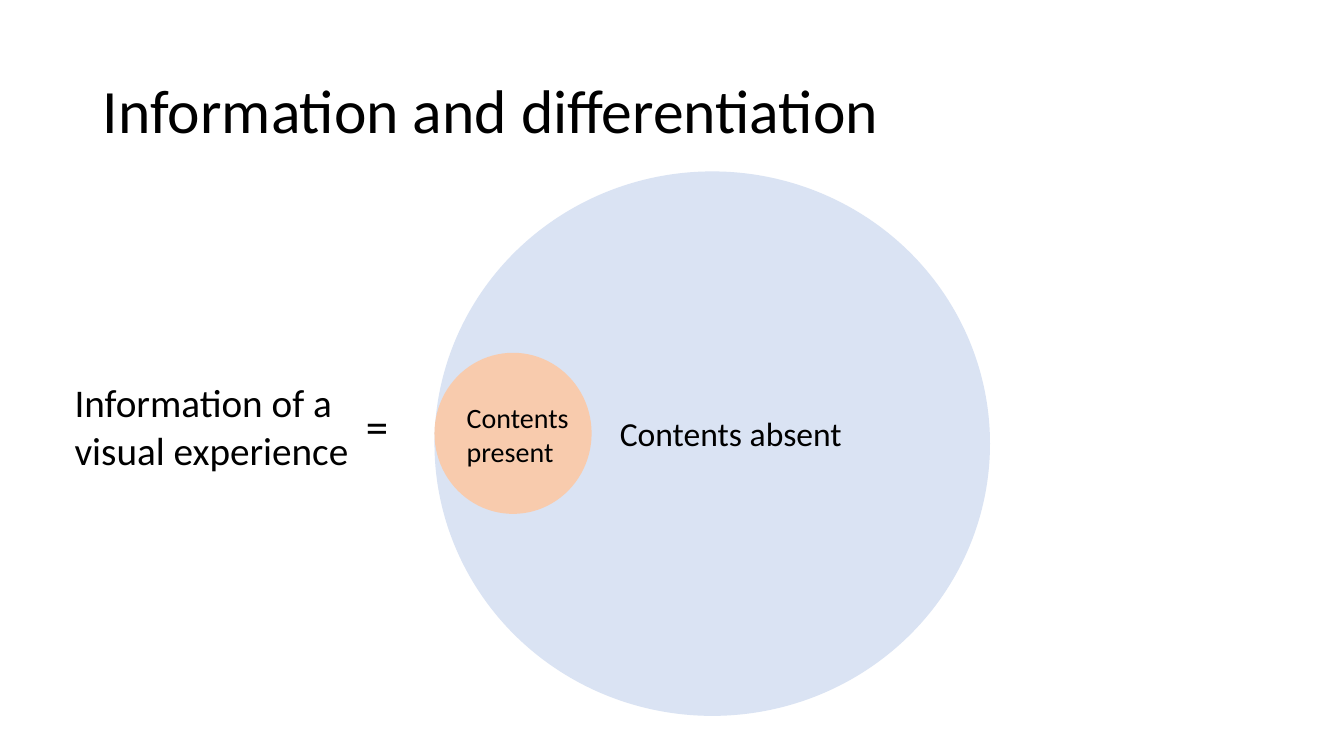
from pptx import Presentation
from pptx import util as u
from pptx.dml.color import RGBColor
from pptx.enum import shapes, text


def color(value):
    """Turn a hex string into a colour."""
    return RGBColor.from_string(value)


def box(values):
    """Turn left, top, width and height in centimetres into lengths."""
    return [u.Cm(v) for v in values]


def write(tf, words, size, **formats):
    """Write one left-aligned paragraph and apply its formats."""
    tf.word_wrap = True
    p = tf.paragraphs[0]
    r = p.add_run()
    r.text = words
    r.font.color.rgb = color("000000")
    for name, value in {"name": "Calibri", "size": u.Pt(size)}.items():
        setattr(r.font, name, value)
    for name, value in {"alignment": text.PP_ALIGN.LEFT, **formats}.items():
        setattr(p, name, value)


def add_title(s, words, place):
    """Fill and place the title placeholder."""
    sp = s.shapes.title
    for name, value in zip(("left", "top", "width", "height"), box(place)):
        setattr(sp, name, value)
    sp.text_frame.vertical_anchor = text.MSO_ANCHOR.MIDDLE
    write(sp.text_frame, words, 44, line_spacing=0.9)


def add_label(parent, words, size, place):
    """Add a text box to a slide or group."""
    sp = parent.shapes.add_textbox(*box(place))
    write(sp.text_frame, words, size)
    sp.text_frame.auto_size = text.MSO_AUTO_SIZE.SHAPE_TO_FIT_TEXT


def add_set(s, fill, place, words, size, label_place):
    """Add a grouped ellipse and its label."""
    grp = s.shapes.add_group_shape()
    sp = grp.shapes.add_shape(shapes.MSO_SHAPE.OVAL, *box(place))
    sp.shadow.inherit = False
    sp.fill.solid()
    sp.fill.fore_color.rgb = color(fill)
    sp.line.fill.background()
    add_label(grp, words, size, label_place)


def main():
    """Build and save the slide."""
    prs = Presentation()
    prs.slide_width, prs.slide_height = u.Cm(33.87), u.Cm(19.05)
    s = prs.slides.add_slide(prs.slide_layouts[5])
    add_title(s, "Information and differentiation", (2.34, 1.02, 29.21, 3.68))
    add_label(s, "Information of a visual experience", 28,
              (1.63, 9.42, 8.41, 2.64))
    add_label(s, "=", 32, (8.97, 9.93, 3.96, 1.63))
    add_set(s, "DAE3F3", (10.95, 4.32, 14, 13.72),
            "Contents absent", 24, (15.37, 10.29, 6.53, 1.27))
    add_set(s, "F8CBAD", (10.95, 8.89, 3.96, 4.06),
            "Contents present", 20, (11.51, 9.98, 3.68, 1.96))
    prs.save("out.pptx")


if __name__ == "__main__":
    main()
